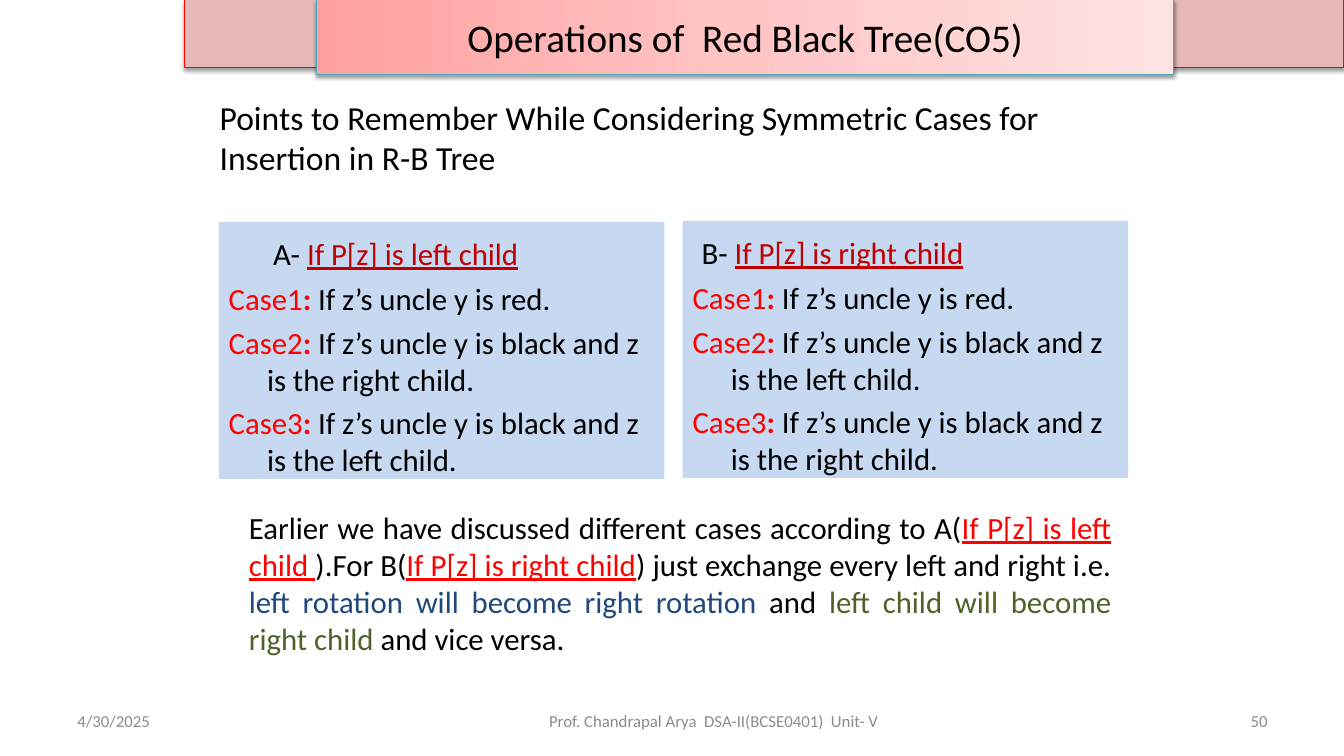
from copy import deepcopy

from lxml import etree
from pptx import Presentation
from pptx.dml.color import RGBColor
from pptx.enum import shapes, text
from pptx.oxml.ns import qn
from pptx.util import Inches, Pt

# Content: each paragraph is a list of (words, style) runs
BANNER = "Operations of  Red Black Tree(CO5)"
HEADING = ("Points to Remember While Considering Symmetric Cases for "
           "Insertion in R-B Tree")
RED_UNCLE = "If z’s uncle y is red."
LEFT_CHILD = "If z’s uncle y is black and z is the left child."
RIGHT_CHILD = "If z’s uncle y is black and z is the right child."
# Letter, condition, cases, left, top, heading margin, heading first-line indent
PANELS = [
    ("A- ", "If P[z] is left child", [RED_UNCLE, RIGHT_CHILD, LEFT_CHILD],
     2.17, 2.2, 0.44, 0),
    ("B- ", "If P[z] is right child", [RED_UNCLE, LEFT_CHILD, RIGHT_CHILD],
     6.77, 2.19, 0.38, -0.29),
]
SUMMARY = [
    ("Earlier we have discussed different cases according to A(", "plain"),
    ("If P[z] is left child ", "link"),
    (").For B(", "plain"),
    ("If P[z] is right child", "link"),
    (") just exchange every left and right i.e. ", "plain"),
    ("left rotation will become right rotation", "rotation"),
    (" and ", "plain"),
    ("left child will become right child", "child"),
    (" and vice versa.", "plain"),
]
ALIGN = text.PP_ALIGN
FOOTER = [
    ("4/30/2025", 0.67, 3.11, ALIGN.LEFT),
    ("50", 9.56, 3.11, ALIGN.RIGHT),
    ("Prof. Chandrapal Arya  DSA-II(BCSE0401)  Unit- V", 5.08, 4, ALIGN.CENTER),
]

THEME = {
    "font": "Calibri",
    "size": {"banner": 28, "heading": 24, "body": 22, "footer": 12},
    "fill": {"band": "E6B9B8", "panel": "C6D9F1"},
    "line": {"band": "FF0000", "banner": "46AAC5"},
    "gradient": [(0, "FFA0A0"), (0.5, "FFC5C5"), (1, "FFE3E3")],
    # Run styles: colour, bold, underline
    "run": {
        "plain": ("000000", False, False),
        "condition": ("C00000", False, True),
        "case": ("FF0000", False, False),
        "colon": ("FF0000", True, False),
        "link": ("FF0000", False, True),
        "rotation": ("1F497D", False, False),
        "child": ("4F6228", False, False),
        "footer": ("8C8C8C", False, False),
    },
}


def rgb(value):
    return RGBColor.from_string(value)


def write(shape, paragraphs, size, align=ALIGN.LEFT, anchor=text.MSO_ANCHOR.TOP):
    frame = shape.text_frame
    frame.word_wrap = True
    frame.vertical_anchor = anchor
    for index, runs in enumerate(paragraphs):
        paragraph = frame.paragraphs[0] if index == 0 else frame.add_paragraph()
        paragraph.alignment = align
        for words, style in runs:
            run = paragraph.add_run()
            run.text = words
            color, bold, underline = THEME["run"][style]
            run.font.name = THEME["font"]
            run.font.size = Pt(THEME["size"][size])
            run.font.color.rgb = rgb(color)
            run.font.bold = bold
            run.font.underline = underline
    return frame


def add_box(slide, left, top, width, height):
    return slide.shapes.add_textbox(
        Inches(left), Inches(top), Inches(width), Inches(height))


def add_rect(slide, left, top, width, height, fill=None, line=None):
    rect = slide.shapes.add_shape(
        shapes.MSO_SHAPE.RECTANGLE,
        Inches(left), Inches(top), Inches(width), Inches(height))
    rect.shadow.inherit = False
    if fill:
        rect.fill.solid()
        rect.fill.fore_color.rgb = rgb(fill)
    if line:
        rect.line.color.rgb = rgb(line)
        rect.line.width = Pt(0.75)
    else:
        rect.line.fill.background()
    return rect


def add_shadow(shape):
    effects = shape._element.spPr.find(qn("a:effectLst"))
    shadow = etree.SubElement(
        effects, qn("a:outerShdw"), blurRad=str(Pt(3.1)), dist=str(Pt(1.6)),
        dir="5400000", rotWithShape="0")
    color = etree.SubElement(shadow, qn("a:srgbClr"), val="000000")
    etree.SubElement(color, qn("a:alpha"), val="38000")


def fill_gradient(shape, colors):
    shape.fill.gradient()
    shape.fill.gradient_angle = 0
    stop_list = shape._element.spPr.find(".//" + qn("a:gsLst"))
    while len(stop_list) < len(colors):
        stop_list.append(deepcopy(stop_list[0]))
    for stop, (position, color) in zip(shape.fill.gradient_stops, colors):
        stop.position = position
        stop.color.rgb = rgb(color)


def set_indent(paragraph, margin, first_line):
    properties = paragraph._p.get_or_add_pPr()
    properties.set("marL", str(Inches(margin)))
    properties.set("indent", str(Inches(first_line)))


def add_panel(slide, letter, condition, cases, left, top, margin, first_line):
    panel = add_rect(slide, left, top, 4.42, 2.55, THEME["fill"]["panel"])
    lines = [[(letter, "plain"), (condition, "condition")]]
    for number, case in enumerate(cases, 1):
        lines.append([(f"Case{number}", "case"), (": ", "colon"), (case, "plain")])
    frame = write(panel, lines, "body")
    frame.margin_top = Inches(0.13)
    title, *case_lines = frame.paragraphs
    set_indent(title, margin, first_line)
    title.space_after = Pt(1.6)
    for case_line in case_lines:
        set_indent(case_line, 0.38, -0.38)
        case_line.space_before = Pt(4.4)


def main():
    deck = Presentation()
    deck.slide_width, deck.slide_height = Inches(13.33), Inches(7.5)
    slide = deck.slides.add_slide(deck.slide_layouts[6])

    # Band behind the banner
    band = add_rect(slide, 1.83, 0, 11.5, 0.67,
                    THEME["fill"]["band"], THEME["line"]["band"])
    add_shadow(band)

    # Heading and the two symmetric cases
    write(add_box(slide, 2.08, 0.91, 9, 1.03), [[(HEADING, "plain")]], "heading")
    for panel in PANELS:
        add_panel(slide, *panel)

    # Summary
    write(add_box(slide, 2.37, 5, 8.75, 1.58), [SUMMARY], "body", ALIGN.JUSTIFY)

    # Footer
    for words, left, width, align in FOOTER:
        write(add_box(slide, left, 6.95, width, 0.4), [[(words, "footer")]],
              "footer", align, text.MSO_ANCHOR.MIDDLE)

    # Banner
    banner = add_rect(slide, 3.14, -0.01, 8.5, 0.75, line=THEME["line"]["banner"])
    fill_gradient(banner, THEME["gradient"])
    add_shadow(banner)
    write(banner, [[(BANNER, "plain")]], "banner", ALIGN.CENTER,
          text.MSO_ANCHOR.MIDDLE)

    deck.save("out.pptx")


if __name__ == "__main__":
    main()
